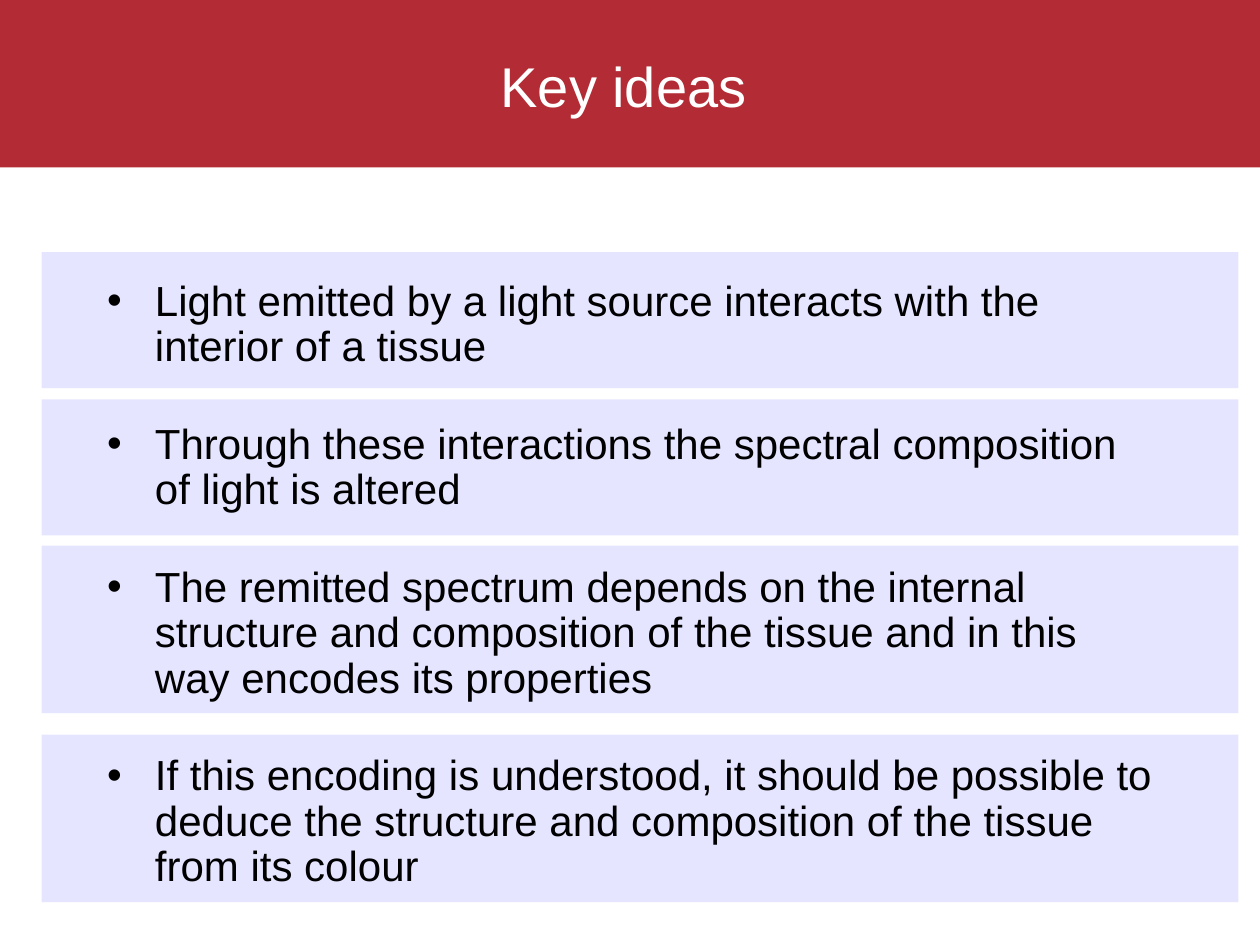
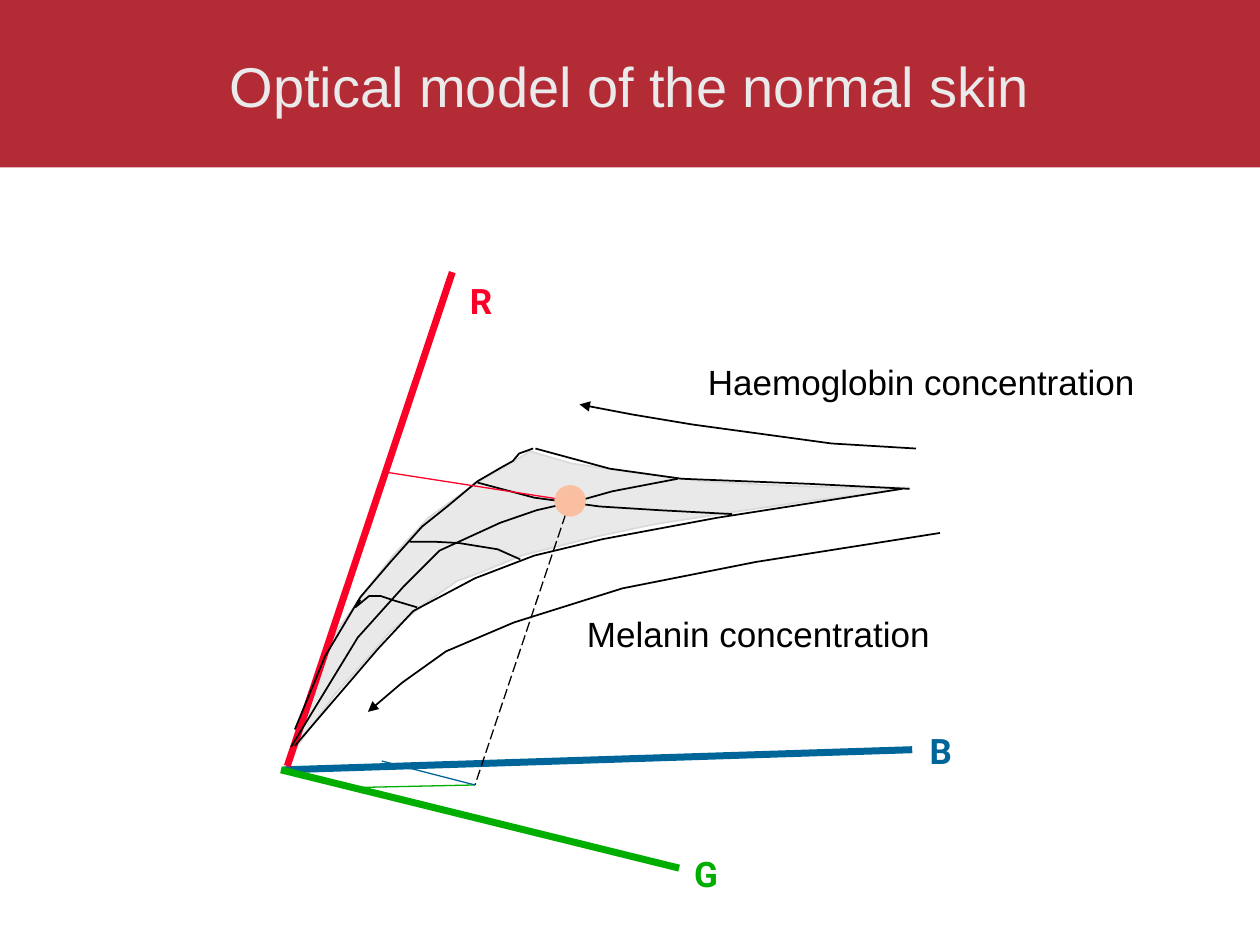
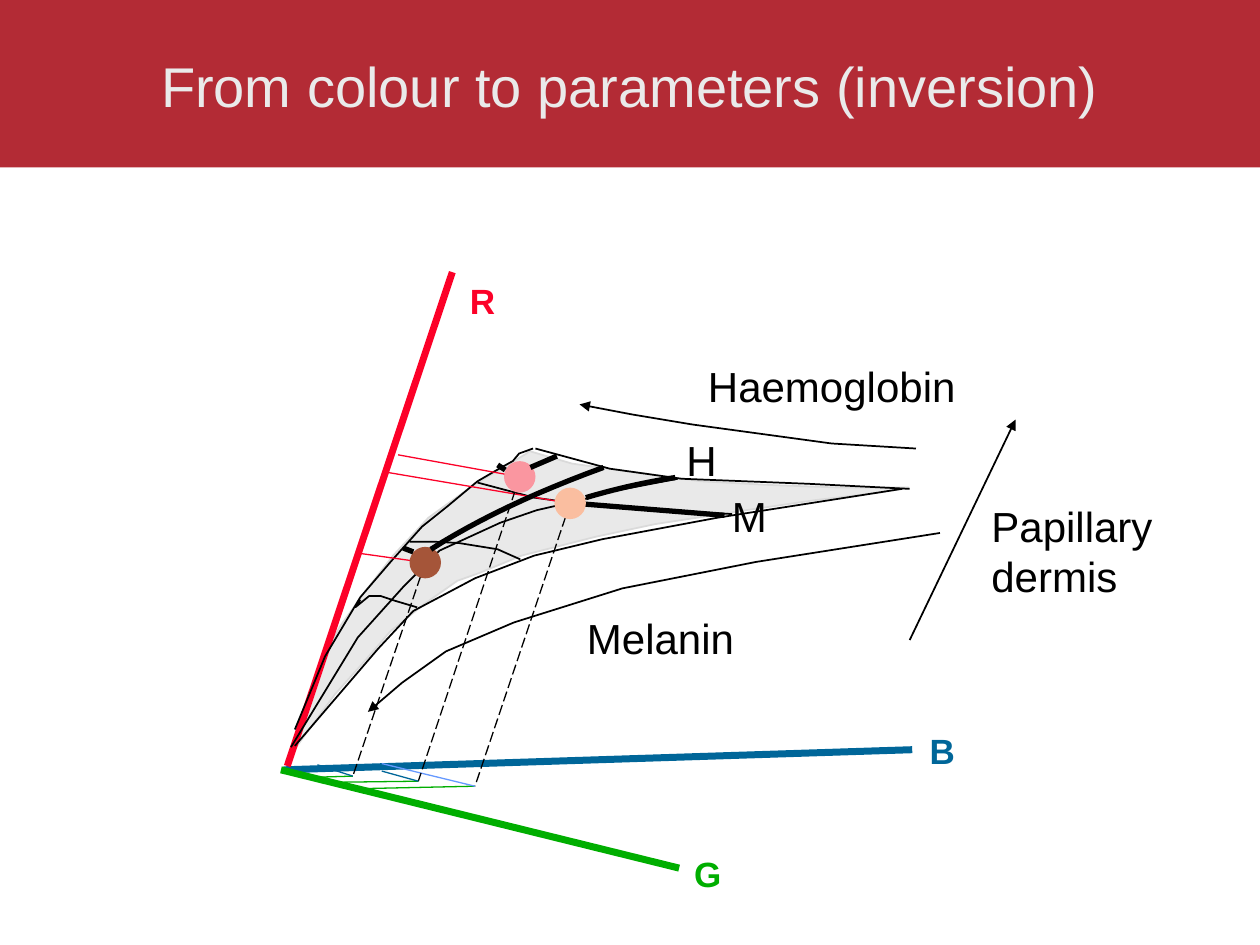
from pptx import Presentation
from pptx.dml.color import RGBColor
from pptx.enum.dml import MSO_LINE
from pptx.enum.shapes import MSO_CONNECTOR, MSO_SHAPE
from pptx.enum.text import MSO_ANCHOR, MSO_AUTO_SIZE, PP_ALIGN
from pptx.oxml.ns import qn
from pptx.util import Inches, Pt
from lxml import etree

RECTANGLE, OVAL = MSO_SHAPE.RECTANGLE, MSO_SHAPE.OVAL
STRAIGHT = MSO_CONNECTOR.STRAIGHT
LONG_DASH = MSO_LINE.LONG_DASH
MIDDLE, TOP = MSO_ANCHOR.MIDDLE, MSO_ANCHOR.TOP
CENTER = PP_ALIGN.CENTER
NO_FIT, GROW = MSO_AUTO_SIZE.NONE, MSO_AUTO_SIZE.SHAPE_TO_FIT_TEXT

HEADER_RED = RGBColor(0xB3, 0x2B, 0x35)
WHITE = RGBColor(0xFF, 0xFF, 0xFF)
PALE_GREY = RGBColor(0xEA, 0xEA, 0xEA)
BLACK = RGBColor(0, 0, 0)
LAVENDER = RGBColor(0xCC, 0xCC, 0xFF)
SURFACE_FILL = RGBColor(0xE9, 0xE9, 0xE9)
SURFACE_EDGE = RGBColor(0xDA, 0xDA, 0xDA)
AXIS_RED = RGBColor(0xFC, 0x01, 0x28)
AXIS_GREEN = RGBColor(0x00, 0xAE, 0x00)
AXIS_BLUE = RGBColor(0x00, 0x66, 0x99)
LIGHT_BLUE = RGBColor(0x66, 0x99, 0xFF)
SKIN_NORMAL = RGBColor(0xFA, 0xBE, 0xA0)
SKIN_PINK = RGBColor(0xFA, 0x96, 0xA0)
SKIN_BROWN = RGBColor(0xA5, 0x55, 0x39)

FONT = "Arial"
TITLE_ONLY, TITLE_AND_BODY = 5, 1
DOT_SIZE = 0.25
THIN, NORMAL, THICK, AXIS_WIDTH = 0.75, 1, 3, 4

KEY_IDEAS = [
    "Light emitted by a light source interacts with the interior of a tissue",
    "Through these interactions the spectral composition of light is altered",
    "The remitted spectrum depends on the internal structure and composition "
    "of the tissue and in this way encodes its properties",
    "If this encoding is understood, it should be possible to deduce the "
    "structure and composition of the tissue from its colour",
]
IDEA_PANELS = [(2, 1.08), (3.17, 1.08), (4.33, 1.33), (5.83, 1.33)]  # top, height

AXES = [  # letter, colour, start, end, label left, label top
    ("B", AXIS_BLUE, (2.25, 6.11), (7.24, 5.95), 7.28, 5.74),
    ("G", AXIS_GREEN, (2.23, 6.11), (5.39, 6.89), 5.41, 6.72),
    ("R", AXIS_RED, (2.28, 6.08), (3.59, 2.16), 3.63, 2.17),
]
SURFACE = [
    (2.27, 6.04), (2.59, 5.17), (2.7, 4.97), (2.91, 4.68), (3.12, 4.41),
    (3.4, 4.11), (3.76, 3.85), (4.18, 3.6), (4.2, 3.58), (4.54, 3.68),
    (4.97, 3.74), (5.56, 3.82), (6.11, 3.85), (6.66, 3.87), (7.21, 3.87),
    (6.98, 3.91), (6.47, 3.97), (5.92, 4.05), (5.2, 4.16), (4.73, 4.26),
    (4.14, 4.41), (3.8, 4.55), (3.63, 4.61), (3.36, 4.8), (3.1, 5.01),
    (2.91, 5.23), (2.66, 5.51),
]
HAEMOGLOBIN_ARROW = [(7.27, 3.56), (6.6, 3.52), (5.5, 3.37), (5.02, 3.29), (4.6, 3.21)]
MELANIN_ARROW = [(7.46, 4.23), (6, 4.46), (4.94, 4.67), (4.08, 4.94),
                 (3.54, 5.17), (3.19, 5.42), (2.92, 5.65)]
GRID_LINES = [
    [(7.22, 3.88), (6.42, 3.84), (5.41, 3.8), (4.84, 3.72), (4.25, 3.56)],
    [(7.16, 3.88), (5.69, 4.11), (4.78, 4.28), (4.24, 4.41), (3.77, 4.59),
     (3.28, 4.85), (3, 5.15), (2.34, 5.92)],
    [(5.38, 3.8), (4.86, 3.9), (4.61, 3.97), (4.26, 4.05), (3.97, 4.15),
     (3.49, 4.37), (3.2, 4.66), (2.84, 5.06), (2.31, 5.93)],
    [(4.23, 3.56), (4.12, 3.6), (4.07, 3.66), (3.98, 3.71), (3.79, 3.82),
     (3.55, 4.02), (3.35, 4.18), (3.1, 4.46), (2.86, 4.74), (2.58, 5.21), (2.34, 5.79)],
    [(5.81, 4.08), (5.24, 4.05), (4.76, 4.02), (4.24, 3.95), (3.79, 3.83)],
    [(3.31, 4.82), (3.14, 4.77), (3.02, 4.73), (2.93, 4.73), (2.82, 4.82), (2.86, 4.76)],
    [(4.13, 4.44), (3.95, 4.36), (3.64, 4.31), (3.45, 4.3), (3.25, 4.3)],
]


def bezier(start, control_1, control_2, end, steps=12):
    """Return points along a cubic curve."""
    points = []
    for step in range(steps + 1):
        t = step / steps
        weights = ((1 - t) ** 3, 3 * t * (1 - t) ** 2, 3 * t ** 2 * (1 - t), t ** 3)
        corners = (start, control_1, control_2, end)
        points.append(tuple(sum(weight * corner[axis] for weight, corner in zip(weights, corners))
                            for axis in (0, 1)))
    return points


class SlideBuilder:
    """Holds the deck, its style and the slide being built."""

    def __init__(self):
        self.deck = Presentation()
        self.deck.slide_width, self.deck.slide_height = Inches(10), Inches(7.5)
        self.page = None

    def new_page(self, title, layout=TITLE_ONLY, color=PALE_GREY, left_inset=0.1):
        first_page = self.page is None
        self.page = self.deck.slides.add_slide(self.deck.slide_layouts[layout])
        if first_page:
            self.add_header_to_master()
        box = self.page.shapes.title
        self.place(box, 0.75, 0.05, 8.5, 1.25)
        frame = box.text_frame
        frame.text = title
        frame.auto_size = NO_FIT
        frame.vertical_anchor = MIDDLE
        frame.margin_left = Inches(left_inset)
        frame.paragraphs[0].alignment = CENTER
        self.format_text(frame, 32, color)

    def add_header_to_master(self):
        band = self.shape(RECTANGLE, 0, 0, 10, 1.33, HEADER_RED)
        self.deck.slide_master.shapes.element.insert(2, band.element)

    def place(self, box, left, top, width, height):
        box.left, box.top = Inches(left), Inches(top)
        box.width, box.height = Inches(width), Inches(height)

    def format_text(self, frame, size, color, font=FONT, bold=False):
        for paragraph in frame.paragraphs:
            for span in paragraph.runs:
                span.font.name = font
                span.font.size = Pt(size)
                span.font.bold = bold
                span.font.color.rgb = color

    def body(self, items):
        box = self.page.placeholders[1]
        self.place(box, 0.75, 2.17, 8.5, 5)
        frame = box.text_frame
        frame.text = "\n".join(items)
        frame.auto_size = NO_FIT
        frame.vertical_anchor = TOP
        for index, paragraph in enumerate(frame.paragraphs):
            properties = paragraph._p.get_or_add_pPr()
            properties.set("marL", str(Inches(0.38)))
            properties.set("indent", str(-Inches(0.38)))
            paragraph.line_spacing = 0.9
            paragraph.space_before = Pt(30 if index else 0)
        self.format_text(frame, 24, BLACK)

    def shape(self, kind, left, top, width, height, fill, opacity=None):
        shape = self.page.shapes.add_shape(
            kind, Inches(left), Inches(top), Inches(width), Inches(height))
        shape.shadow.inherit = False
        shape.fill.solid()
        shape.fill.fore_color.rgb = fill
        shape.line.fill.background()
        if opacity:
            color = shape.element.spPr.find(qn("a:solidFill"))[0]
            etree.SubElement(color, qn("a:alpha"), val=str(opacity * 1000))
        return shape

    def label(self, text, left, top, width, size=20, color=BLACK, font=FONT, bold=False):
        lines = text.count("\n") + 1
        height = 0.1 + lines * size / 60
        box = self.page.shapes.add_textbox(
            Inches(left), Inches(top), Inches(width), Inches(height))
        frame = box.text_frame
        frame.text = text
        frame.word_wrap = False
        frame.auto_size = GROW
        self.format_text(frame, size, color, font, bold)

    def stroke(self, line, color, width, arrow=False):
        line.color.rgb = color
        line.width = Pt(width)
        if arrow:
            etree.SubElement(line._get_or_add_ln(), qn("a:tailEnd"), type="triangle")

    def line(self, start, end, color=BLACK, width=THIN, dash=None, arrow=False):
        connector = self.page.shapes.add_connector(
            STRAIGHT, *(Inches(value) for value in (*start, *end)))
        if dash:
            connector.line.dash_style = dash
        self.stroke(connector.line, color, width, arrow)
        etree.SubElement(connector.element.spPr, qn("a:effectLst"))

    def outline(self, points, color=BLACK, width=NORMAL, fill=None, arrow=False):
        """Draw a polyline, closed when it has a fill."""
        start, *others = [(Inches(x), Inches(y)) for x, y in points]
        builder = self.page.shapes.build_freeform(*start)
        builder.add_line_segments(others, close=fill is not None)
        shape = builder.convert_to_shape()
        shape.shadow.inherit = False
        if fill is None:
            shape.fill.background()
        else:
            shape.fill.solid()
            shape.fill.fore_color.rgb = fill
        self.stroke(shape.line, color, width, arrow)

    def colour_model(self, letter_font):
        """Draw the RGB axes and the skin colour surface with its grid."""
        self.outline(SURFACE, SURFACE_EDGE, fill=SURFACE_FILL)
        for letter, color, start, end, left, top in AXES:
            self.line(start, end, color, AXIS_WIDTH)
            self.label(letter, left, top, 0.39, color=color, font=letter_font, bold=True)
        for arrow in (HAEMOGLOBIN_ARROW, MELANIN_ARROW):
            self.outline(arrow, arrow=True)
        for grid_line in GRID_LINES:
            self.outline(grid_line)

    def skin_colour(self, left, top, fill, red, foot, green, blue, blue_color=AXIS_BLUE):
        """Draw a skin colour as a dot and project it on the three axes."""
        center = (left + DOT_SIZE / 2, top + DOT_SIZE / 2)
        self.line(red, center, AXIS_RED)
        self.line(center, foot, dash=LONG_DASH)
        self.line(foot, green, AXIS_GREEN)
        self.line(foot, blue, blue_color)
        self.shape(OVAL, left, top, DOT_SIZE, DOT_SIZE, fill)


def add_key_ideas(builder):
    builder.new_page("Key ideas", TITLE_AND_BODY, WHITE, left_inset=0)
    for top, height in IDEA_PANELS:
        panel = builder.shape(RECTANGLE, 0.33, top, 9.5, height, LAVENDER, opacity=50)
        builder.page.shapes.element.insert(2, panel.element)
    builder.body(KEY_IDEAS)


def add_optical_model(builder):
    builder.new_page("Optical model of the normal skin")
    builder.colour_model("Roboto")
    builder.label("Haemoglobin concentration", 5.52, 2.81, 3.59)
    builder.label("Melanin concentration", 4.56, 4.81, 2.92)
    builder.skin_colour(4.4, 3.85, SKIN_NORMAL, red=(3.08, 3.75), foot=(3.77, 6.23),
                        green=(2.83, 6.25), blue=(3.03, 6.04))


def add_inversion(builder):
    builder.new_page("From colour to parameters (inversion)")
    builder.colour_model(FONT)
    builder.line((4.63, 4), (5.75, 4.09), width=THICK)
    builder.skin_colour(4.4, 3.87, SKIN_NORMAL, red=(3.08, 3.75), foot=(3.77, 6.24),
                        green=(2.83, 6.26), blue=(3.03, 6.06), blue_color=LIGHT_BLUE)
    builder.skin_colour(4, 3.66, SKIN_PINK, red=(3.16, 3.61), foot=(3.32, 6.2),
                        green=(2.55, 6.21), blue=(3.03, 6.12))
    builder.skin_colour(3.25, 4.34, SKIN_BROWN, red=(2.84, 4.39), foot=(2.8, 6.16),
                        green=(2.46, 6.17), blue=(2.52, 6.07))
    haemoglobin_curves = [
        bezier((4.65, 3.95), (4.85, 3.89), (5.1, 3.83), (5.36, 3.79)),
        bezier((3.42, 4.36), (3.78, 4.13), (4.24, 3.91), (4.79, 3.71)),
    ]
    for curve in haemoglobin_curves:
        builder.outline(curve, width=THICK)
    for start, end in [((4.21, 3.71), (4.42, 3.62)), ((3.95, 3.69), (4.01, 3.73)),
                       ((3.2, 4.35), (3.28, 4.38))]:
        builder.line(start, end, width=THICK)
    builder.line((7.22, 5.08), (8.06, 3.33), width=NORMAL, arrow=True)
    for text, left, top, width in [
        ("Haemoglobin", 5.52, 2.81, 2.25), ("Melanin", 4.56, 4.81, 1.4),
        ("M", 5.71, 3.84, 0.5), ("H", 5.35, 3.4, 0.46),
        ("Papillary\ndermis", 7.77, 3.92, 1.52),
    ]:
        builder.label(text, left, top, width, size=24)


def main():
    builder = SlideBuilder()
    add_key_ideas(builder)
    add_optical_model(builder)
    add_inversion(builder)
    builder.deck.save("out.pptx")


if __name__ == "__main__":
    main()
